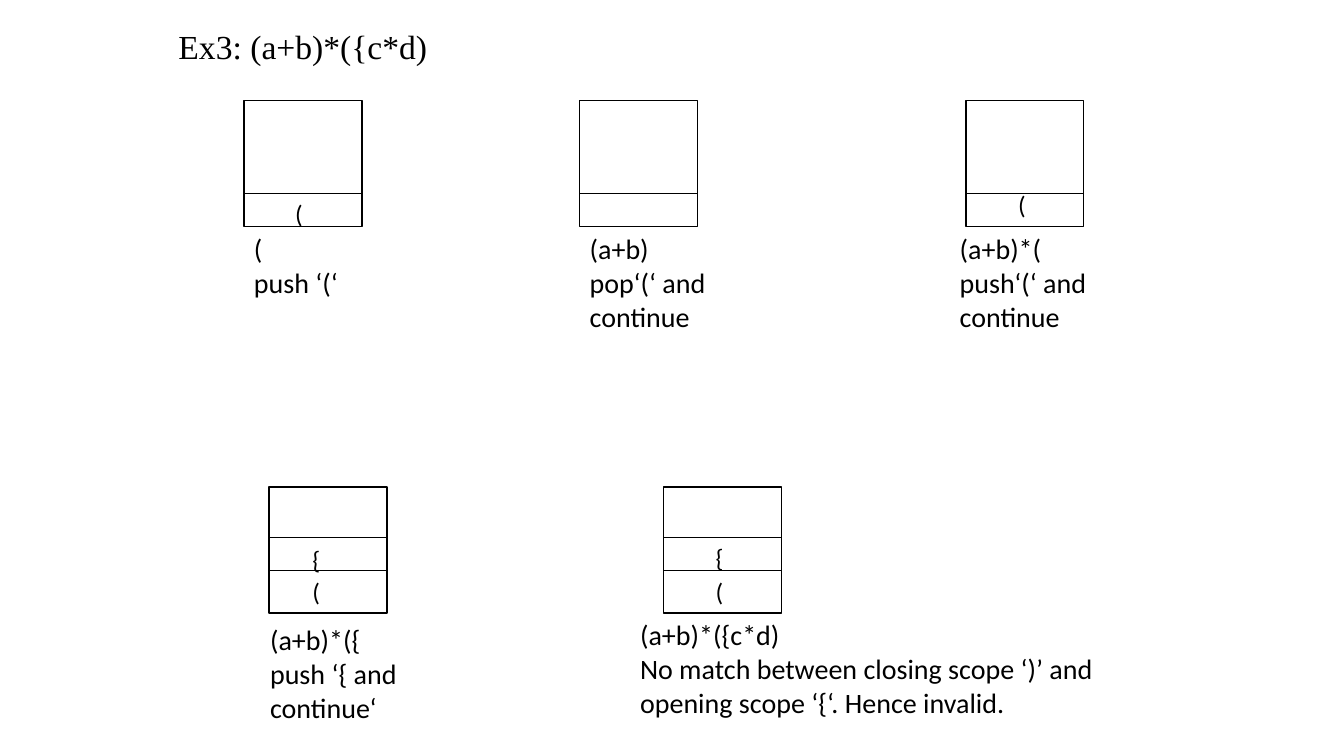
"""Build the slide tracing a stack as it checks the scopes of (a+b)*({c*d)."""
from dataclasses import dataclass

from lxml.etree import SubElement
from pptx import Presentation
from pptx.dml.color import RGBColor
from pptx.enum.shapes import MSO_CONNECTOR as Connector, MSO_SHAPE as Preset
from pptx.enum.text import MSO_ANCHOR as Anchor, MSO_AUTO_SIZE as AutoSize
from pptx.oxml.ns import qn
from pptx.slide import Slide
from pptx.text.text import TextFrame
from pptx.util import Emu, Pt

EMU_PER_PX = 9144
BOX_WIDTH, BOX_HEIGHT = 117, 125
SYMBOL_WIDTH, SYMBOL_HEIGHT = 33, 40
SINGLE_LEVEL = (92,)
DOUBLE_LEVEL = (50, 83)


@dataclass(frozen=True)
class Theme:
    ink: RGBColor = RGBColor(0, 0, 0)
    paper: RGBColor = RGBColor(255, 255, 255)
    heading_font: str = "Times New Roman"
    font: str = "Calibri"
    heading_size: int = 24
    caption_size: int = 20
    symbol_size: int = 18
    box_line: float = 1
    level_line: float = 0.5


@dataclass(frozen=True)
class Label:
    text: str
    left: int
    top: int
    width: int = SYMBOL_WIDTH
    height: int = SYMBOL_HEIGHT


@dataclass(frozen=True)
class Stack:
    left: int
    top: int
    levels: tuple[int, ...]
    symbols: tuple[Label, ...]
    caption: Label


THEME = Theme()
HEADING = Label("Ex3: (a+b)*({c*d)", 167, 25, 900, 700)
STACKS = (
    Stack(242, 100, SINGLE_LEVEL, (Label("(", 283, 192),),
          Label("(\npush ‘(‘", 242, 225, 125, 77)),
    Stack(575, 100, SINGLE_LEVEL, (),
          Label("(a+b)\npop‘(‘ and continue", 575, 225, 167, 111)),
    Stack(958, 100, SINGLE_LEVEL, (Label("(", 1000, 183),),
          Label("(a+b)*(\npush‘(‘ and continue", 942, 225, 167, 111)),
    Stack(267, 483, DOUBLE_LEVEL, (Label("(", 300, 567), Label("{", 300, 535)),
          Label("(a+b)*({\npush ‘{ and continue‘", 258, 613, 175, 111)),
    Stack(658, 483, DOUBLE_LEVEL, (Label("(", 700, 567), Label("{", 700, 533)),
          Label("(a+b)*({c*d)\nNo match between closing scope ‘)’ and "
                "opening scope ‘{‘. Hence invalid.", 625, 608, 500, 111)),
)


def px(length: int) -> Emu:
    """Convert whole pixels to EMU."""
    return Emu(length * EMU_PER_PX)


def frame(label: Label) -> tuple[Emu, Emu, Emu, Emu]:
    """Return a label's position and size in EMU."""
    return px(label.left), px(label.top), px(label.width), px(label.height)


def format_runs(text_frame: TextFrame, font: str, size: int) -> None:
    """Apply one font, size and the ink colour to every run."""
    for paragraph in text_frame.paragraphs:
        for run in paragraph.runs:
            run.font.name = font
            run.font.size = Pt(size)
            run.font.color.rgb = THEME.ink


def add_heading(slide: Slide) -> None:
    """Fill the body placeholder with the expression being checked."""
    title = slide.shapes.title.element
    title.getparent().remove(title)
    body = slide.placeholders[1]
    body.left, body.top, body.width, body.height = frame(HEADING)
    text_frame = body.text_frame
    text_frame.text = HEADING.text
    text_frame.vertical_anchor = Anchor.TOP
    paragraph = text_frame.paragraphs[0]
    paragraph.line_spacing = 0.9
    paragraph.space_before = Pt(10)
    properties = paragraph._p.get_or_add_pPr()
    properties.set("marL", str(px(25)))
    properties.set("indent", str(px(-25)))
    SubElement(properties, qn("a:buNone"))
    format_runs(text_frame, THEME.heading_font, THEME.heading_size)


def add_label(slide: Slide, label: Label, size: int) -> None:
    """Add a wrapped text box."""
    text_frame = slide.shapes.add_textbox(*frame(label)).text_frame
    text_frame.text = label.text
    text_frame.word_wrap = True
    text_frame.auto_size = AutoSize.SHAPE_TO_FIT_TEXT
    format_runs(text_frame, THEME.font, size)


def add_level(slide: Slide, left: int, top: int) -> None:
    """Add a thin line across a stack box."""
    line = slide.shapes.add_connector(
        Connector.STRAIGHT, px(left), px(top), px(left + BOX_WIDTH), px(top))
    line.line.color.rgb = THEME.ink
    line.line.width = Pt(THEME.level_line)
    SubElement(line._element.spPr, qn("a:effectLst"))


def add_stack(slide: Slide, stack: Stack) -> None:
    """Draw a stack box with its levels, symbols and caption."""
    box = slide.shapes.add_shape(
        Preset.RECTANGLE, px(stack.left), px(stack.top), px(BOX_WIDTH), px(BOX_HEIGHT))
    box.shadow.inherit = False
    box.fill.solid()
    box.fill.fore_color.rgb = THEME.paper
    box.line.color.rgb = THEME.ink
    box.line.width = Pt(THEME.box_line)
    for level in stack.levels:
        add_level(slide, stack.left, stack.top + level)
    for symbol in stack.symbols:
        add_label(slide, symbol, THEME.symbol_size)
    add_label(slide, stack.caption, THEME.caption_size)


def main() -> None:
    """Create and save the presentation."""
    presentation = Presentation()
    presentation.slide_width = px(1333)
    presentation.slide_height = px(750)
    slide = presentation.slides.add_slide(presentation.slide_layouts[1])
    add_heading(slide)
    for stack in STACKS:
        add_stack(slide, stack)
    presentation.save("out.pptx")


if __name__ == "__main__":
    main()
